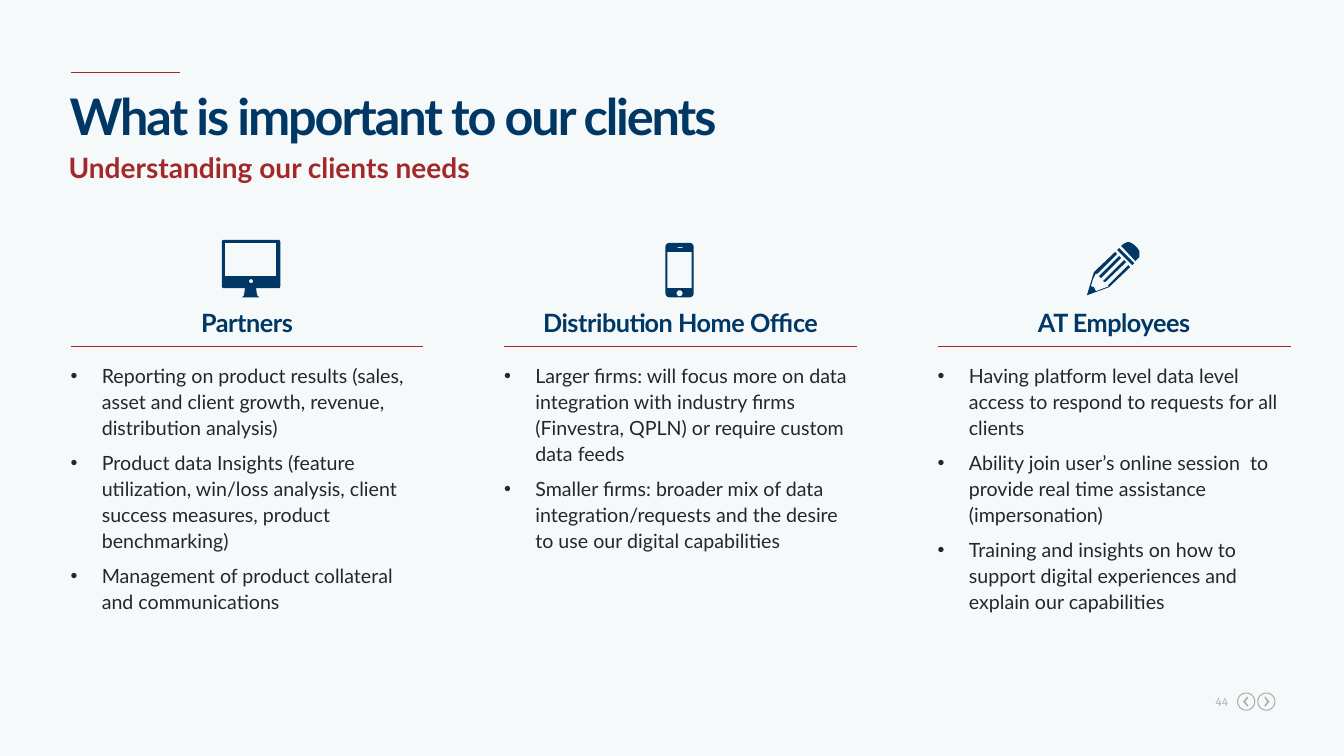
from dataclasses import dataclass
from math import cos, pi, sin

from lxml import etree
from pptx import Presentation
from pptx.dml.color import RGBColor
from pptx.enum.shapes import MSO_CONNECTOR
from pptx.enum.text import MSO_ANCHOR, MSO_AUTO_SIZE, PP_ALIGN
from pptx.oxml.ns import qn
from pptx.util import Pt

EMU_PER_PX = 9144  # 100 px to the inch
TITLE_ONLY = 5
LEFT, CENTER, RIGHT = PP_ALIGN.LEFT, PP_ALIGN.CENTER, PP_ALIGN.RIGHT
TOP = MSO_ANCHOR.TOP
STRAIGHT = MSO_CONNECTOR.STRAIGHT
NO_FIT, GROW = MSO_AUTO_SIZE.NONE, MSO_AUTO_SIZE.SHAPE_TO_FIT_TEXT


@dataclass(frozen=True)
class TextStyle:
    size: float
    color: str
    bold: bool = False
    tracking: float = 0
    font: str = "Lato"


@dataclass(frozen=True)
class Theme:
    background: str = "F5F9FA"
    navy: str = "003764"
    red: str = "A32829"
    gray: str = "AAAAAA"
    title: TextStyle = TextStyle(36, "003764", True, -1.5)
    subtitle: TextStyle = TextStyle(20, "A32829", True)
    heading: TextStyle = TextStyle(18, "003764", True, -0.3)
    body: TextStyle = TextStyle(14, "24272A")
    page: TextStyle = TextStyle(8.7, "AAAAAA", tracking=0.3, font="Cambria")


THEME = Theme()

COLUMN_LEFT, COLUMN_PITCH, COLUMN_WIDTH = 70, 430, 350
BULLET_INDENT = 31
SPACE_AFTER = Pt(6.5)


def px(value):
    return round(value * EMU_PER_PX)


def rgb(color):
    return RGBColor.from_string(color)


def set_frame(frame, autofit):
    frame.margin_left = frame.margin_top = frame.margin_right = frame.margin_bottom = 0
    frame.word_wrap = True
    frame.auto_size = autofit
    frame.vertical_anchor = TOP


def add_run(paragraph, text, style):
    run = paragraph.add_run()
    run.text = text
    run.font.name = style.font
    run.font.size = Pt(style.size)
    run.font.bold = style.bold
    run.font.color.rgb = rgb(style.color)
    if style.tracking:
        run._r.get_or_add_rPr().set("spc", str(round(style.tracking * 100)))


def add_text(slide, box, text, style, align=LEFT, line_spacing=None, autofit=GROW):
    frame = slide.shapes.add_textbox(*map(px, box)).text_frame
    set_frame(frame, autofit)
    paragraph = frame.paragraphs[0]
    paragraph.alignment = align
    paragraph.line_spacing = line_spacing
    add_run(paragraph, text, style)


def add_title(slide, box, text):
    title = slide.shapes.title
    title.left, title.top, title.width, title.height = map(px, box)
    set_frame(title.text_frame, NO_FIT)
    paragraph = title.text_frame.paragraphs[0]
    paragraph.alignment = LEFT
    add_run(paragraph, text, THEME.title)


def add_bullets(slide, box, items):
    frame = slide.shapes.add_textbox(*map(px, box)).text_frame
    set_frame(frame, GROW)
    for index, item in enumerate(items):
        paragraph = frame.add_paragraph() if index else frame.paragraphs[0]
        paragraph.line_spacing = 1.1
        paragraph.space_after = SPACE_AFTER
        properties = paragraph._p.get_or_add_pPr()
        properties.set("marL", str(px(BULLET_INDENT)))
        properties.set("indent", str(-px(BULLET_INDENT)))
        etree.SubElement(properties, qn("a:buFont")).set("typeface", "Arial")
        etree.SubElement(properties, qn("a:buChar")).set("char", "•")
        add_run(paragraph, item, THEME.body)


def add_rule(slide, left, top, width, weight):
    rule = slide.shapes.add_connector(
        STRAIGHT, px(left), px(top), px(left + width), px(top))
    rule.line.color.rgb = rgb(THEME.red)
    rule.line.width = Pt(weight)
    etree.SubElement(rule._element.spPr, qn("a:effectLst"))


def arc(x, y, radius, start, end, steps):
    """Points of a circular arc, with angles in quarter turns."""
    angles = [(start + (end - start) * i / steps) * pi / 2 for i in range(steps + 1)]
    return [(x + radius * cos(a), y + radius * sin(a)) for a in angles]


def circle(x, y, radius):
    return arc(x, y, radius, 0, 4, 40)


def rectangle(left, top, right, bottom, radius=0):
    if not radius:
        return [(left, top), (right, top), (right, bottom), (left, bottom)]
    corners = [(right - radius, bottom - radius), (left + radius, bottom - radius),
               (left + radius, top + radius), (right - radius, top + radius)]
    return [point for quarter, (x, y) in enumerate(corners)
            for point in arc(x, y, radius, quarter, quarter + 1, 6)]


def add_icon(slide, left, top, contours, color):
    """Draw contours as one shape; a contour inside another is a hole."""
    placed = [[(px(left + x), px(top + y)) for x, y in contour] for contour in contours]
    builder = slide.shapes.build_freeform(*placed[0][0])
    for index, points in enumerate(placed):
        if index:
            builder.move_to(*points[0])
        builder.add_line_segments(points[1:], close=True)
    shape = builder.convert_to_shape()
    shape.shadow.inherit = False
    shape.fill.solid()
    shape.fill.fore_color.rgb = rgb(color)
    shape.line.fill.background()


def add_arrow_button(slide, x, y, direction):
    chevron = [(-2, -4), (-1, -5), (3, 0), (-1, 5), (-2, 4), (1, 0)]
    contours = [circle(0, 0, 9), circle(0, 0, 8),
                [(direction * dx, dy) for dx, dy in chevron]]
    add_icon(slide, x, y, contours, THEME.gray)


MONITOR = [
    rectangle(0, 0, 58, 48, 2), rectangle(3, 3, 54, 36), circle(29, 41, 2),
    [(23, 48), (34, 48), (35, 55), (37, 57), (20, 57), (22, 55)],
]
PHONE = [
    rectangle(0, 0, 28, 54, 4), rectangle(2, 9, 26, 45),
    circle(14, 50, 3), rectangle(12, 4, 17, 5),
]
PENCIL = [
    [(0, 53), (7, 30), (28, 10), (30, 12), (10, 32), (9, 31), (6, 37), (4, 44),
     (7, 45), (9, 49), (22, 44), (21, 43), (41, 23), (43, 25), (22, 45)],
    [(12, 34), (32, 14), (34, 16), (14, 36)],
    [(16, 39), (37, 18), (39, 20), (18, 40)],
    [(30, 8), (32, 6), (47, 21), (45, 23)],
    [(34, 4), (35, 3), (38, 1), (41, 0), (44, 1), (47, 3), (50, 6), (52, 9),
     (52, 12), (52, 15), (50, 17), (48, 19)],
]

# heading, icon, icon left, icon top, bullets
COLUMNS = [
    ("Partners", MONITOR, 220, 238, [
        "Reporting on product results (sales, asset and client growth, revenue, distribution analysis)",
        "Product data Insights (feature utilization, win/loss analysis, client success measures, product benchmarking)",
        "Management of product collateral and communications"]),
    ("Distribution Home Office", PHONE, 660, 241, [
        "Larger firms: will focus more on data integration with industry firms (Finvestra, QPLN) or require custom data feeds",
        "Smaller firms: broader mix of data integration/requests and the desire to use our digital capabilities"]),
    ("AT Employees", PENCIL, 1078, 240, [
        "Having platform level data level access to respond to requests for all clients",
        "Ability join user’s online session  to provide real time assistance (impersonation)",
        "Training and insights on how to support digital experiences and explain our capabilities"]),
]


def main():
    presentation = Presentation()
    presentation.slide_width, presentation.slide_height = px(1333), px(750)
    slide = presentation.slides.add_slide(presentation.slide_layouts[TITLE_ONLY])
    slide.background.fill.solid()
    slide.background.fill.fore_color.rgb = rgb(THEME.background)

    add_rule(slide, 70, 72, 109, 0.75)
    add_title(slide, (69, 84, 1210, 57), "What is important to our clients")
    add_text(slide, (68, 153, 1211, 37), "Understanding our clients needs",
             THEME.subtitle, line_spacing=0.9, autofit=NO_FIT)

    for index, (heading, icon, icon_left, icon_top, items) in enumerate(COLUMNS):
        left = COLUMN_LEFT + index * COLUMN_PITCH
        add_icon(slide, icon_left, icon_top, icon, THEME.navy)
        add_text(slide, (left, 309, COLUMN_WIDTH, 25), heading, THEME.heading,
                 CENTER, Pt(18.4))
        add_rule(slide, left, 344, COLUMN_WIDTH, 1)
        add_bullets(slide, (left, 359, COLUMN_WIDTH, 251), items)

    add_text(slide, (1193, 689, 25, 15), "44", THEME.page, RIGHT)
    add_arrow_button(slide, 1236, 696, -1)
    add_arrow_button(slide, 1256, 696, 1)
    presentation.save("out.pptx")


if __name__ == "__main__":
    main()
